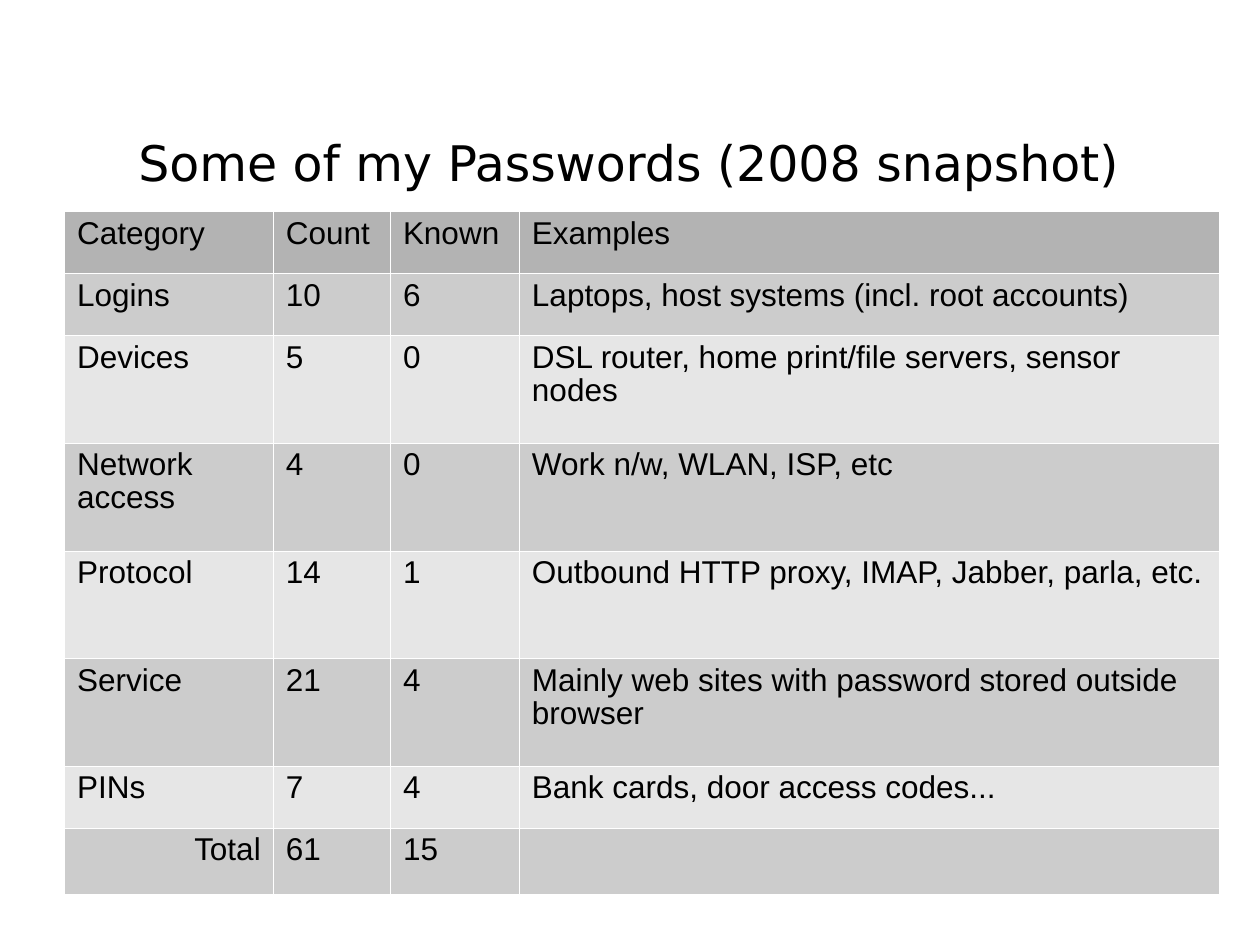
"""Build a slide with a table that counts passwords by category."""
import pptx
import pptx.dml.color
import pptx.enum.text
import pptx.oxml
import pptx.oxml.ns
import pptx.util

Cm, Pt = pptx.util.Cm, pptx.util.Pt
ALIGN = pptx.enum.text.PP_ALIGN

TITLE = "Some of my Passwords (2008 snapshot)"
HEADER = ("Category", "Count", "Known", "Examples")
ROWS = [
    ("Logins", "10", "6", "Laptops, host systems (incl. root accounts)"),
    ("Devices", "5", "0", "DSL router, home print/file servers, sensor nodes"),
    ("Network access", "4", "0", "Work n/w, WLAN, ISP, etc"),
    ("Protocol", "14", "1", "Outbound HTTP proxy, IMAP, Jabber, parla, etc."),
    ("Service", "21", "4", "Mainly web sites with password stored outside browser"),
    ("PINs", "7", "4", "Bank cards, door access codes..."),
    ("Total", "61", "15", ""),
]
COL_WIDTHS = (4.21, 2.36, 2.6, 14.1)
ROW_HEIGHTS = (1.25, 1.25, 2.17, 2.17, 2.17, 2.17, 1.25, 1.33)
COLORS = {"text": "000000", "header": "B3B3B3", "odd": "CCCCCC",
          "even": "E6E6E6", "border": "FFFFFF"}


def rgb(name):
    return pptx.dml.color.RGBColor.from_string(COLORS[name])


def set_font(p, name, size):
    p.font.name, p.font.size = name, Pt(size)
    p.font.color.rgb = rgb("text")


def add_borders(cell):
    tcPr = cell._tc.get_or_add_tcPr()
    for i, side in enumerate(("lnL", "lnR", "lnT", "lnB")):
        tcPr.insert(i, pptx.oxml.parse_xml(
            f'<a:{side} {pptx.oxml.ns.nsdecls("a")} w="720"><a:solidFill>'
            f'<a:srgbClr val="{COLORS["border"]}"/></a:solidFill></a:{side}>'))


def alignment(row, col):
    if HEADER[col] == "Examples" or row == 0:
        return ALIGN.LEFT
    return ALIGN.RIGHT if col == 0 and row == len(ROWS) else ALIGN.JUSTIFY


def add_title(slide):
    sp = slide.shapes.add_textbox(Cm(1.9), Cm(1.7), Cm(21.54), Cm(3.12))
    tf = sp.text_frame
    tf.word_wrap = True
    tf.vertical_anchor = pptx.enum.text.MSO_ANCHOR.MIDDLE
    tf.margin_left = tf.margin_right = tf.margin_top = tf.margin_bottom = 0
    p = tf.paragraphs[0]
    p.text = TITLE
    p.alignment = ALIGN.CENTER
    set_font(p, "DejaVu Sans", 28)


def add_password_table(slide):
    data = [HEADER, *ROWS]
    table = slide.shapes.add_table(
        len(data), len(HEADER), Cm(1.3), Cm(4.26),
        Cm(sum(COL_WIDTHS)), Cm(sum(ROW_HEIGHTS))).table
    for column, width in zip(table.columns, COL_WIDTHS):
        column.width = Cm(width)
    for row, height in zip(table.rows, ROW_HEIGHTS):
        row.height = Cm(height)
    for i, values in enumerate(data):
        fill = "header" if i == 0 else "odd" if i % 2 else "even"
        for j, value in enumerate(values):
            cell = table.cell(i, j)
            cell.fill.solid()
            cell.fill.fore_color.rgb = rgb(fill)
            add_borders(cell)
            p = cell.text_frame.paragraphs[0]
            p.text = value
            p.alignment = alignment(i, j)
            p.line_spacing = 0.94
            set_font(p, "Arial", 18)


def main():
    prs = pptx.Presentation()
    prs.slide_width, prs.slide_height = Cm(25.4), Cm(19.05)
    slide = prs.slides.add_slide(prs.slide_layouts[6])
    add_title(slide)
    add_password_table(slide)
    prs.save("out.pptx")


if __name__ == "__main__":
    main()
